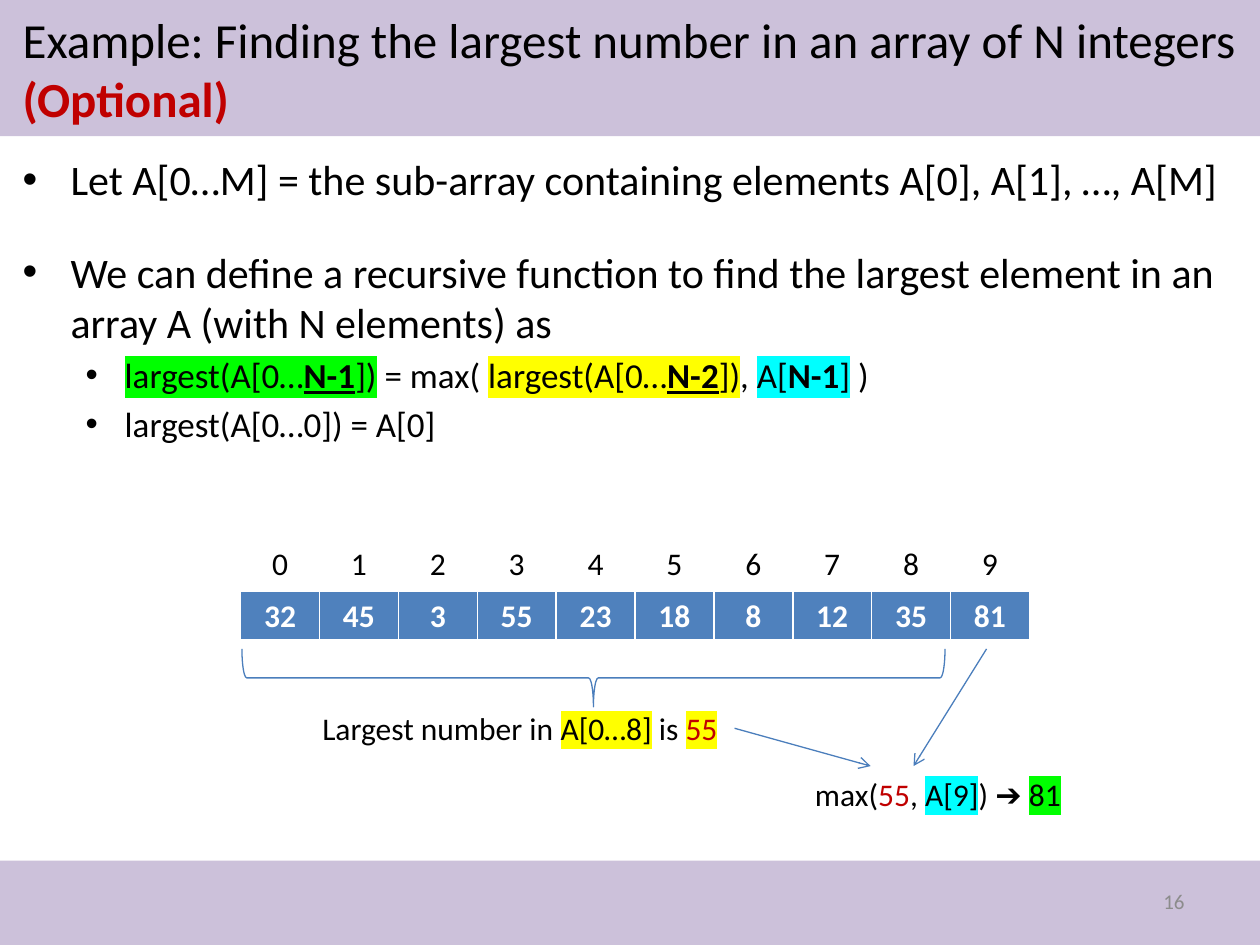
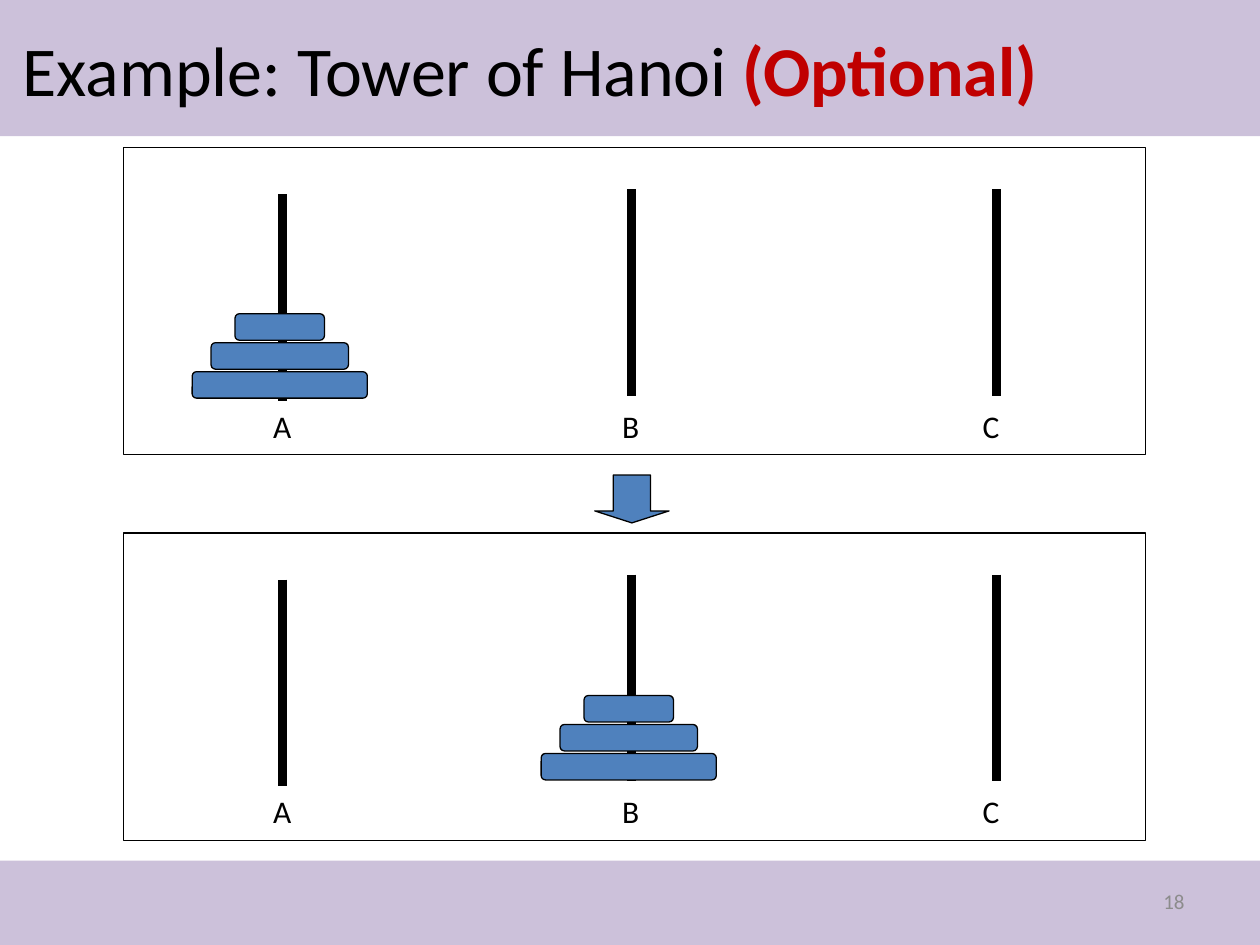
from dataclasses import dataclass

from lxml import etree
from pptx import Presentation
from pptx.dml.color import RGBColor
from pptx.enum.shapes import MSO_CONNECTOR, MSO_SHAPE
from pptx.enum.text import MSO_ANCHOR, MSO_AUTO_SIZE, PP_ALIGN
from pptx.oxml.ns import qn
from pptx.util import Inches, Pt

STRAIGHT = MSO_CONNECTOR.STRAIGHT
RECTANGLE = MSO_SHAPE.RECTANGLE
ROUNDED = MSO_SHAPE.ROUNDED_RECTANGLE
LEFT_BRACE = MSO_SHAPE.LEFT_BRACE
DOWN_ARROW = MSO_SHAPE.DOWN_ARROW
MIDDLE = MSO_ANCHOR.MIDDLE
LEFT, CENTER, RIGHT = PP_ALIGN.LEFT, PP_ALIGN.CENTER, PP_ALIGN.RIGHT
NO_AUTOFIT, GROW = MSO_AUTO_SIZE.NONE, MSO_AUTO_SIZE.SHAPE_TO_FIT_TEXT
TITLE_AND_CONTENT, TITLE_ONLY = 1, 5
RIGHT_SIDE = 3


@dataclass(frozen=True)
class Theme:
    font: str = "Calibri"
    band: str = "CCC1DA"
    ink: str = "000000"
    paper: str = "FFFFFF"
    accent: str = "C00000"
    blue: str = "4F81BD"
    blue_line: str = "4B7EBC"
    muted: str = "8C8C8C"
    green: str = "00FF00"
    yellow: str = "FFFF00"
    cyan: str = "00FFFF"
    body: int = 24
    sub_body: int = 20
    label: int = 18
    page_number: int = 12
    thin: float = 0.75
    peg: float = 5


THEME = Theme()


@dataclass(frozen=True)
class Piece:
    """A stretch of text with one look."""
    text: str
    color: str = THEME.ink
    highlight: str = ""
    bold: bool = False
    underline: bool = False


@dataclass(frozen=True)
class Bullet:
    pieces: list[Piece]
    level: int = 0
    space_before: float | None = None


@dataclass(frozen=True)
class Peg:
    label: str
    x: float
    label_left: float
    drop: float = 0


@dataclass(frozen=True)
class Stage:
    """One state of the puzzle: which peg holds the tower."""
    top: float
    tower_peg: int
    tower_drop: float


def rgb(color: str) -> RGBColor:
    return RGBColor.from_string(color)


def place(shape, left: float, top: float, width: float, height: float) -> None:
    shape.left, shape.top = Inches(left), Inches(top)
    shape.width, shape.height = Inches(width), Inches(height)


def write(paragraph, pieces: list[Piece], size: float, align=LEFT) -> None:
    paragraph.alignment = align
    paragraph.font.name = THEME.font
    paragraph.font.size = Pt(size)
    for piece in pieces:
        run = paragraph.add_run()
        run.text = piece.text
        run.font.color.rgb = rgb(piece.color)
        if piece.bold:
            run.font.bold = True
        if piece.underline:
            run.font.underline = True
        if piece.highlight:
            mark = etree.SubElement(run.font._element, qn("a:highlight"))
            etree.SubElement(mark, qn("a:srgbClr"), val=piece.highlight)


def add_label(slide, left: float, top: float, width: float, pieces: list[Piece]):
    label = slide.shapes.add_textbox(Inches(left), Inches(top), Inches(width), Inches(0.4))
    label.text_frame.word_wrap = False
    label.text_frame.auto_size = GROW
    write(label.text_frame.paragraphs[0], pieces, THEME.label)
    return label


def add_box(slide, kind, left: float, top: float, width: float, height: float,
            fill: str = "", line: str = ""):
    box = slide.shapes.add_shape(kind, Inches(left), Inches(top), Inches(width), Inches(height))
    box.shadow.inherit = False
    if fill:
        box.fill.solid()
        box.fill.fore_color.rgb = rgb(fill)
    else:
        box.fill.background()
    if line:
        box.line.color.rgb = rgb(line)
        box.line.width = Pt(THEME.thin)
    else:
        box.line.fill.background()
    return box


def add_line(slide, start: tuple[float, float], end: tuple[float, float],
             color: str, width: float, arrow: bool = False):
    line = slide.shapes.add_connector(STRAIGHT, *map(Inches, start + end))
    line.line.color.rgb = rgb(color)
    line.line.width = Pt(width)
    properties = line.element.spPr
    if arrow:
        etree.SubElement(properties.find(qn("a:ln")), qn("a:tailEnd"), type="arrow")
    etree.SubElement(properties, qn("a:effectLst"))
    return line


def add_bands(prs, slide) -> None:
    """Draw the two bands and move them to the back of the slide master."""
    for number, (top, height) in enumerate([(0, 1.08), (6.83, 0.67)]):
        band = add_box(slide, RECTANGLE, 0, top, 10, height, THEME.band)
        band.element.nvSpPr.cNvPr.set("id", str(100 + number))
        prs.slide_master.shapes.element.insert(2 + number, band.element)


def add_slide(prs, layout: int, heading: str, size: int, number: int):
    slide = prs.slides.add_slide(prs.slide_layouts[layout])
    title = slide.shapes.title
    place(title, 0.08, 0.08, 9.84, 0.92)
    title.text_frame.auto_size = NO_AUTOFIT
    title.text_frame.vertical_anchor = MIDDLE
    write(title.text_frame.paragraphs[0],
          [Piece(heading + " "), Piece("(Optional)", THEME.accent, bold=True)], size)
    page = slide.shapes.add_textbox(Inches(7.17), Inches(6.95), Inches(2.33), Inches(0.4))
    page.text_frame.word_wrap = True
    page.text_frame.vertical_anchor = MIDDLE
    write(page.text_frame.paragraphs[0], [Piece(str(number), THEME.muted)],
          THEME.page_number, RIGHT)
    return slide


def fill_bullets(body, bullets: list[Bullet]) -> None:
    frame = body.text_frame
    frame.auto_size = NO_AUTOFIT
    for index, bullet in enumerate(bullets):
        paragraph = frame.paragraphs[0] if index == 0 else frame.add_paragraph()
        paragraph.level = bullet.level
        properties = paragraph._p.get_or_add_pPr()
        hanging, indent = [(0.38, -0.38), (0.81, -0.31)][bullet.level]
        properties.set("marL", str(Inches(hanging)))
        properties.set("indent", str(Inches(indent)))
        etree.SubElement(properties, qn("a:buFont"), typeface="Arial")
        etree.SubElement(properties, qn("a:buChar"), char="•")
        if bullet.space_before is not None:
            paragraph.space_before = Pt(bullet.space_before)
        write(paragraph, bullet.pieces, THEME.sub_body if bullet.level else THEME.body)


def add_array_row(slide, top: float, values: list[int], fill: str, color: str,
                  bold: bool, bottom_border: float) -> None:
    table = slide.shapes.add_table(1, len(values), Inches(1.91), Inches(top),
                                   Inches(6.26), Inches(0.4)).table
    table.first_row = table.horz_banding = False
    for cell, value in zip(table.rows[0].cells, values):
        properties = cell._tc.get_or_add_tcPr()
        for side, width in zip("LRTB", (1, 1, 1, bottom_border)):
            border = etree.SubElement(properties, qn(f"a:ln{side}"), w=str(Pt(width)))
            paint = etree.SubElement(border, qn("a:solidFill"))
            etree.SubElement(paint, qn("a:srgbClr"), val=THEME.paper)
        cell.fill.solid()
        cell.fill.fore_color.rgb = rgb(fill)
        write(cell.text_frame.paragraphs[0], [Piece(str(value), color, bold=bold)],
              THEME.label, CENTER)


def call(index: str, highlight: str) -> list[Piece]:
    """The pieces of one highlighted call of largest()."""
    return [Piece("largest(A[0…", highlight=highlight),
            Piece(index, highlight=highlight, bold=True, underline=True),
            Piece("])", highlight=highlight)]


def build_largest_number(prs) -> None:
    slide = add_slide(prs, TITLE_AND_CONTENT,
                      "Example: Finding the largest number in an array of N integers", 28, 16)
    add_bands(prs, slide)
    body = slide.placeholders[1]
    place(body, 0.08, 1.17, 9.77, 3.42)
    recursion = [*call("N-1", THEME.green), Piece(" = max( "), *call("N-2", THEME.yellow),
                 Piece(", "), Piece("A[", highlight=THEME.cyan),
                 Piece("N-1", highlight=THEME.cyan, bold=True),
                 Piece("]", highlight=THEME.cyan), Piece(" )")]
    fill_bullets(body, [
        Bullet([Piece("Let A[0…M] = the sub-array containing elements A[0], A[1], …, A[M]")],
               space_before=0),
        Bullet([Piece("We can define a recursive function to find the largest element in an "
                      "array A (with N elements) as")], space_before=24),
        Bullet(recursion, level=1),
        Bullet([Piece("largest(A[0…0]) = A[0]")], level=1),
    ])

    numbers = [32, 45, 3, 55, 23, 18, 8, 12, 35, 81]
    add_array_row(slide, 4.69, numbers, THEME.blue, THEME.paper, True, 3)
    add_array_row(slide, 4.28, list(range(len(numbers))), THEME.paper, THEME.ink, False, 1)

    brace = add_box(slide, LEFT_BRACE, 4.48, 2.59, 0.46, 5.58, line=THEME.blue_line)
    brace.rotation = 270
    sub_result = add_label(slide, 2.46, 5.58, 3.37, [
        Piece("Largest number in "), Piece("A[0…8]", highlight=THEME.yellow),
        Piece(" is "), Piece("55", THEME.accent, THEME.yellow)])
    from_sub_result = add_line(slide, (5.83, 5.78), (6.91, 6.08),
                               THEME.blue_line, THEME.thin, arrow=True)
    from_sub_result.begin_connect(sub_result, RIGHT_SIDE)
    add_line(slide, (7.83, 5.15), (7.25, 6.08), THEME.blue_line, THEME.thin, arrow=True)
    add_label(slide, 6.37, 6.1, 2.23, [
        Piece("max("), Piece("55", THEME.accent), Piece(", "),
        Piece("A[9]", highlight=THEME.cyan), Piece(") ➔ "),
        Piece("81", highlight=THEME.green)])


PEGS = [Peg("A", 2.24, 2.07, drop=0.04), Peg("B", 5.01, 4.84), Peg("C", 7.91, 7.7)]
STAGES = [Stage(1.17, 0, 1.32), Stage(4.23, 1, 1.29)]
DISK_WIDTHS = [0.71, 1.09, 1.39]
DISK_HEIGHT, DISK_PITCH = 0.21, 0.23


def draw_stage(slide, stage: Stage) -> None:
    for peg in PEGS:
        peg_top = stage.top + 0.33 + peg.drop
        add_line(slide, (peg.x, peg_top), (peg.x, peg_top + 1.64), THEME.ink, THEME.peg)
        add_label(slide, peg.label_left, stage.top + 2.01, 0.37, [Piece(peg.label)])
    center = PEGS[stage.tower_peg].x - 0.02
    for row, width in enumerate(DISK_WIDTHS):
        add_box(slide, ROUNDED, center - width / 2,
                stage.top + stage.tower_drop + row * DISK_PITCH,
                width, DISK_HEIGHT, THEME.blue, THEME.ink)
    add_box(slide, RECTANGLE, 0.98, stage.top, 8.11, 2.44, line=THEME.ink)


def build_tower_of_hanoi(prs) -> None:
    slide = add_slide(prs, TITLE_ONLY, "Example: Tower of Hanoi", 40, 18)
    for stage in STAGES:
        draw_stage(slide, stage)
    step = add_box(slide, DOWN_ARROW, 4.72, 3.77, 0.59, 0.38, THEME.blue, THEME.ink)
    step.adjustments[0], step.adjustments[1] = 0.5, 0.25


def main() -> None:
    prs = Presentation()
    prs.slide_width, prs.slide_height = Inches(10), Inches(7.5)
    build_largest_number(prs)
    build_tower_of_hanoi(prs)
    prs.save("out.pptx")


if __name__ == "__main__":
    main()
